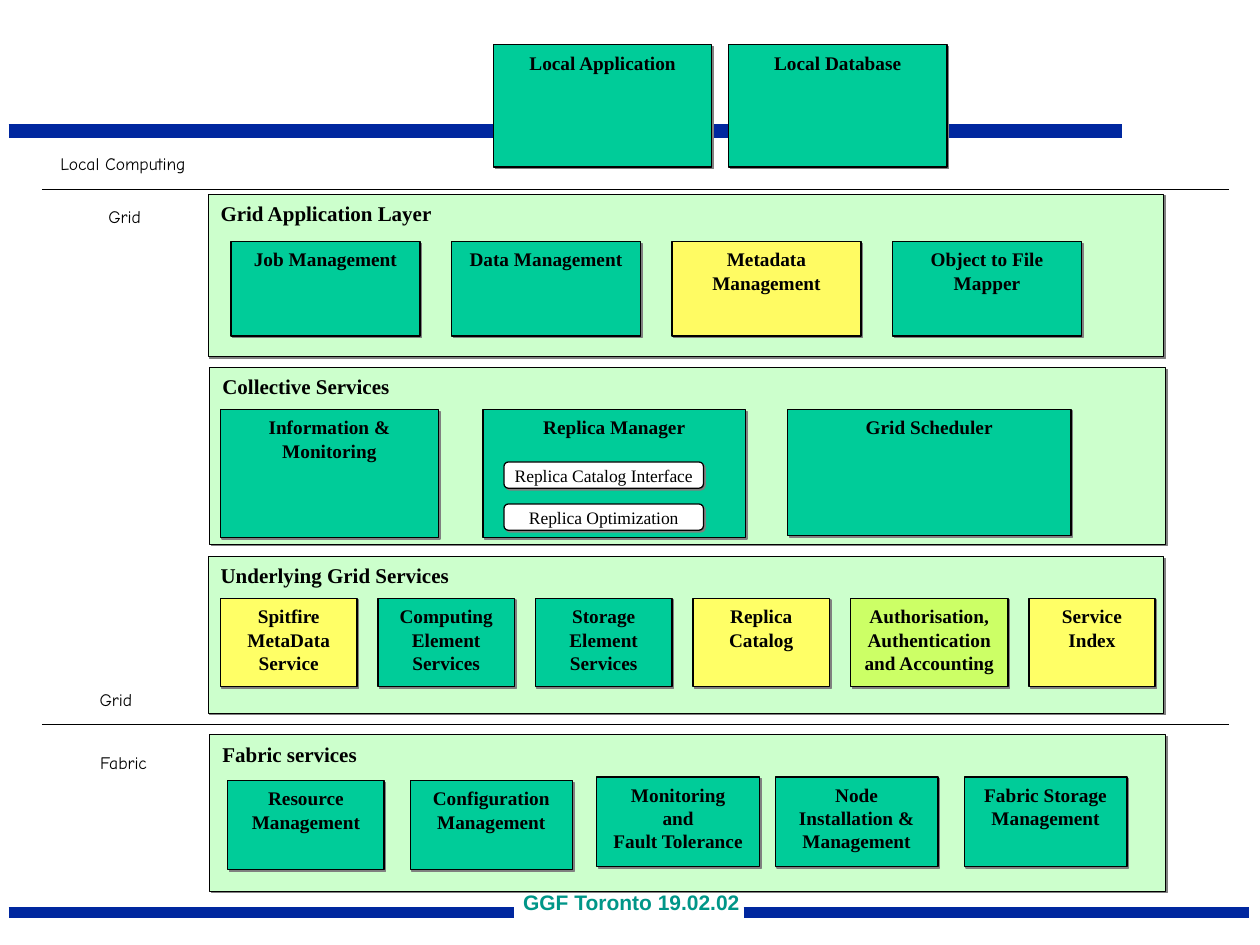
from dataclasses import dataclass

from lxml import etree
from pptx import Presentation
from pptx.dml.color import RGBColor
from pptx.enum.shapes import MSO_CONNECTOR, MSO_SHAPE
from pptx.enum.text import MSO_ANCHOR, PP_ALIGN
from pptx.oxml.ns import qn
from pptx.util import Pt

LEFT, CENTER = PP_ALIGN.LEFT, PP_ALIGN.CENTER
TOP, MIDDLE = MSO_ANCHOR.TOP, MSO_ANCHOR.MIDDLE
RECTANGLE, ROUNDED = MSO_SHAPE.RECTANGLE, MSO_SHAPE.ROUNDED_RECTANGLE
STRAIGHT = MSO_CONNECTOR.STRAIGHT


@dataclass(frozen=True)
class Theme:
    black: str = "000000"
    white: str = "FFFFFF"
    bar: str = "00279F"
    footer: str = "009688"
    panel: str = "CCFFCC"
    green: str = "00CC99"
    gold: str = "FFFB63"
    yellow: str = "FFFF66"
    lime: str = "CCFF66"
    shadow: str = "808080"
    serif: str = "Times New Roman"
    sans: str = "Arial"
    casual: str = "Comic Neue"
    title_size: float = 12
    box_size: float = 11
    small_size: float = 10


THEME = Theme()


def write_text(shape, text, font_name, size, color=THEME.black, bold=False,
               align=CENTER, anchor=TOP, insets=(7.2, 3.6), wrap=True):
    frame = shape.text_frame
    frame.text = text
    frame.word_wrap = wrap
    frame.vertical_anchor = anchor
    frame.margin_left = frame.margin_right = Pt(insets[0])
    frame.margin_top = frame.margin_bottom = Pt(insets[1])
    for paragraph in frame.paragraphs:
        paragraph.alignment = align
        for run in paragraph.runs:
            run.font.name = font_name
            run.font.size = Pt(size)
            run.font.bold = bold
            run.font.color.rgb = RGBColor.from_string(color)


def add_hard_shadow(shape):
    """Give the shape an unblurred grey shadow to the lower right."""
    shape.shadow.inherit = False
    effects = shape._element.spPr.find(qn("a:effectLst"))
    shadow = etree.SubElement(effects, qn("a:outerShdw"), blurRad="0",
                              dist=str(Pt(1.4)), dir="2700000",
                              algn="ctr", rotWithShape="0")
    etree.SubElement(shadow, qn("a:srgbClr"), val=THEME.shadow)


def add_block(slide, kind, left, top, width, height, fill, line_width=0.75):
    shape = slide.shapes.add_shape(kind, Pt(left), Pt(top), Pt(width), Pt(height))
    shape.fill.solid()
    shape.fill.fore_color.rgb = RGBColor.from_string(fill)
    shape.line.color.rgb = RGBColor.from_string(THEME.black)
    shape.line.width = Pt(line_width)
    add_hard_shadow(shape)
    return shape


def add_panel(slide, title, left, top, height):
    panel = add_block(slide, RECTANGLE, left, top, 546, height, THEME.panel, 0.54)
    write_text(panel, title, THEME.serif, THEME.title_size, bold=True, align=LEFT)


def add_service(slide, text, left, top, width, height, fill=THEME.green):
    box = add_block(slide, RECTANGLE, left, top, width, height, fill)
    write_text(box, text, THEME.serif, THEME.box_size, bold=True)


def add_service_row(slide, left, top, height, gap, services):
    """Lay out (text, width, fill) services from left to right with equal gaps."""
    for text, width, fill in services:
        add_service(slide, text, left, top, width, height, fill)
        left += width + gap


def add_component(slide, text, top):
    """Add a rounded component inside the replica manager."""
    box = add_block(slide, ROUNDED, 288, top, 114, 15, THEME.white)
    box.adjustments[0] = 0.167
    write_text(box, text, THEME.serif, THEME.small_size, anchor=MIDDLE,
               insets=(1.44, 0.72))


def add_rule(slide, start, end, y, color, width):
    rule = slide.shapes.add_connector(STRAIGHT, Pt(start), Pt(y), Pt(end), Pt(y))
    rule.line.color.rgb = RGBColor.from_string(color)
    rule.line.width = Pt(width)
    etree.SubElement(rule._element.spPr, qn("a:effectLst"))


def add_layer_label(slide, text, left, top, width):
    label = slide.shapes.add_textbox(Pt(left), Pt(top), Pt(width), Pt(19.5))
    write_text(label, text, THEME.casual, THEME.small_size, wrap=False)


def add_frame(slide):
    """Add the blue bars, footer, layer dividers and layer labels."""
    add_rule(slide, 5, 641, 75, THEME.bar, 8)
    add_rule(slide, 5, 294, 521.3, THEME.bar, 6)
    add_rule(slide, 425, 714, 521.3, THEME.bar, 6)
    footer = slide.shapes.add_textbox(Pt(275.8), Pt(504.7), Pt(170), Pt(21.6))
    write_text(footer, "GGF Toronto 19.02.02", THEME.sans, THEME.title_size,
               THEME.footer, bold=True)
    for y in (108, 414):
        add_rule(slide, 24, 702, y, THEME.black, 0.25)
    for text, left, top, width in (
        ("Local Computing", 27.4, 84, 85.7),
        ("Grid", 54.7, 114, 33),
        ("Grid", 49.7, 390, 33),
        ("Fabric", 49.7, 426, 41.8),
    ):
        add_layer_label(slide, text, left, top, width)


def add_collective_services(slide):
    add_panel(slide, "Collective Services", 120, 210, 101)
    add_service(slide, "Information & Monitoring", 126, 234, 124.5, 73)
    add_service(slide, "Replica Manager", 276, 234, 150, 73)
    add_service(slide, "Grid Scheduler", 450, 234, 162, 72)
    add_component(slide, "Replica Catalog Interface", 264)
    add_component(slide, "Replica Optimization", 288)


def add_fabric_services(slide):
    add_panel(slide, "Fabric services", 120, 420, 89.3)
    for text, left, top, width in (
        ("Resource Management", 130.2, 446, 89.3),
        ("Configuration\nManagement", 234.5, 446, 92.5),
        ("Monitoring\nand\nFault Tolerance", 341, 444, 93),
        ("Node\nInstallation &\nManagement", 443, 444, 93),
        ("Fabric Storage\nManagement", 551, 444, 93),
    ):
        add_service(slide, text, left, top, width, 51)


def main():
    presentation = Presentation()
    presentation.slide_width, presentation.slide_height = Pt(720), Pt(540)
    slide = presentation.slides.add_slide(presentation.slide_layouts[6])

    add_frame(slide)
    add_service_row(slide, 282, 25.5, 70, 9.5, (
        ("Local Application", 124.8, THEME.green),
        ("Local Database", 124.8, THEME.green),
    ))

    add_panel(slide, "Grid Application Layer", 119, 111, 93)
    add_service_row(slide, 132, 138, 54, 18, (
        ("Job Management", 108, THEME.green),
        ("Data Management", 108, THEME.green),
        ("Metadata Management", 108, THEME.gold),
        ("Object to File Mapper", 108, THEME.green),
    ))

    add_collective_services(slide)

    add_panel(slide, "Underlying Grid Services", 119, 318, 89.5)
    add_service_row(slide, 126, 342, 50.5, 12, (
        ("Spitfire MetaData Service", 78, THEME.yellow),
        ("Computing Element Services", 78, THEME.green),
        ("Storage Element Services", 78, THEME.green),
        ("Replica Catalog", 78, THEME.yellow),
        ("Authorisation, Authentication and Accounting", 90, THEME.lime),
        ("Service Index", 72, THEME.yellow),
    ))

    add_fabric_services(slide)
    presentation.save("out.pptx")


if __name__ == "__main__":
    main()
